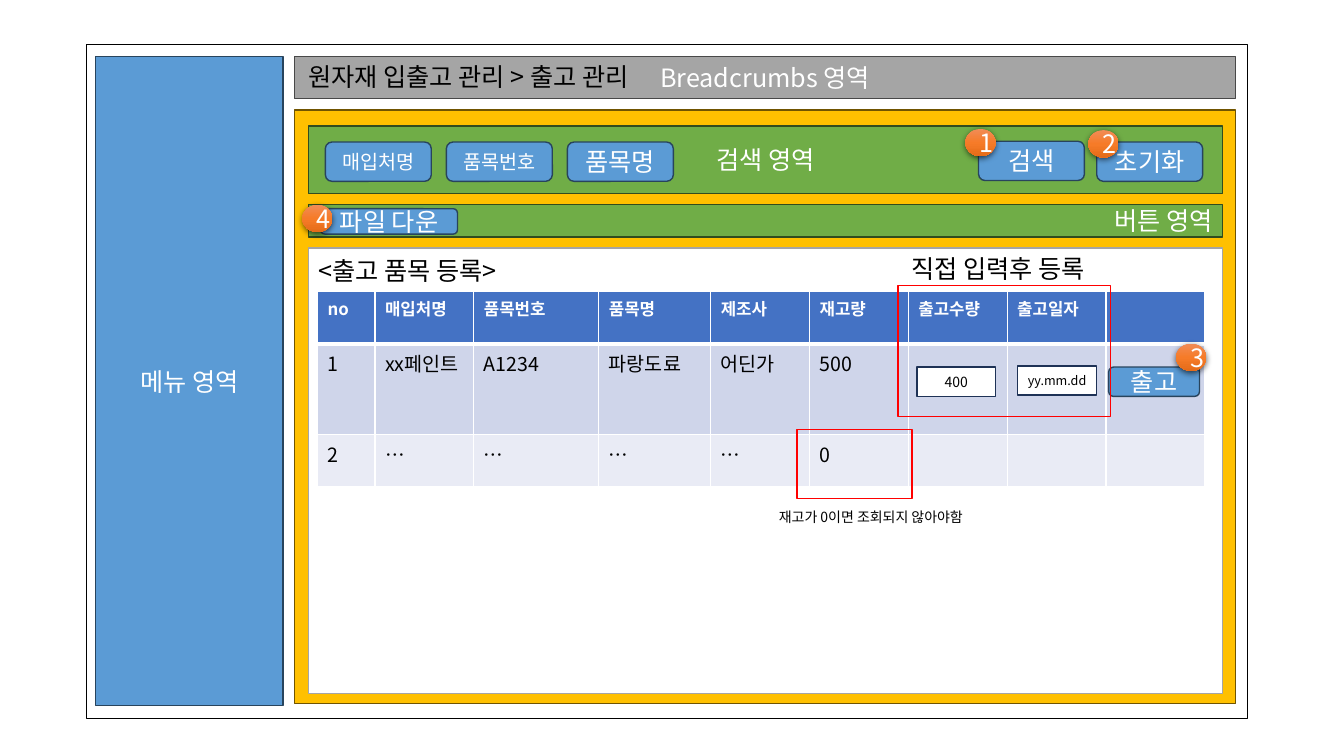
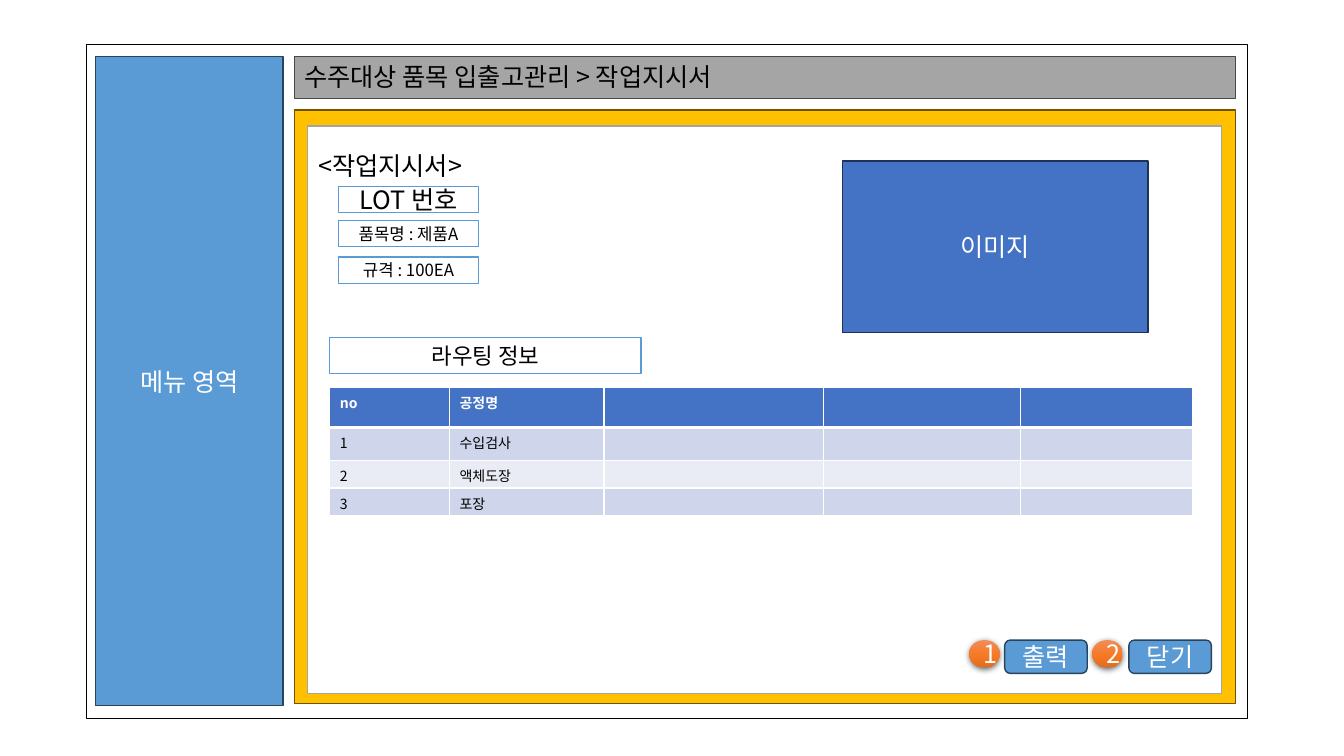
from dataclasses import dataclass
from typing import Optional

from lxml.etree import SubElement
from pptx import Presentation
from pptx.dml.color import RGBColor
from pptx.enum.shapes import MSO_SHAPE
from pptx.enum.text import MSO_ANCHOR, PP_ALIGN
from pptx.oxml.ns import qn
from pptx.slide import Slide
from pptx.util import Cm, Pt

FONT = "Noto Sans CJK KR"
HEX = {
    "white": "FFFFFF", "black": "000000", "red": "FF0000",
    "sky": "5B9BD5", "steel": "28445D", "gray": "A5A5A5", "dark": "484848",
    "gold": "FFC000", "brown": "705400", "green": "70AD47", "moss": "314C1F",
    "blue": "4472C4", "navy": "1E3256", "odd": "CFD5EA", "even": "E9EBF5",
    "peach": "F18C57", "orange": "F67B28", "rust": "E56C19",
}


@dataclass(frozen=True)
class Style:
    fill: Optional[str]
    line: str
    ink: str = "white"
    form: MSO_SHAPE = MSO_SHAPE.RECTANGLE
    align: PP_ALIGN = PP_ALIGN.CENTER


FRAME = Style("white", "black")
MENU = Style("sky", "steel")
CRUMB = Style("gray", "dark")
BODY = Style("gold", "brown")
BAND = Style("green", "moss")
TOOLS = Style("green", "moss", align=PP_ALIGN.RIGHT)
PANEL = Style("white", "gray", "black")
BUTTON = Style("sky", "steel", form=MSO_SHAPE.ROUNDED_RECTANGLE)
INPUT = Style("white", "navy", "black")
FIELD = Style("white", "sky", "black")
PHOTO = Style("blue", "navy")
MARK = Style(None, "red")


@dataclass(frozen=True)
class Box:
    x: float
    y: float
    w: float
    h: float
    style: Style
    text: str = ""
    size: float = 18


@dataclass(frozen=True)
class Label:
    x: float
    y: float
    w: float
    h: float
    text: str
    size: float = 18


@dataclass(frozen=True)
class Badge:
    x: float
    y: float
    text: str


@dataclass(frozen=True)
class Grid:
    x: float
    y: float
    cols: list[float]
    rows: list[float]
    cells: list[list[str]]
    head: float
    size: float


def color(name: str) -> RGBColor:
    return RGBColor.from_string(HEX[name])


def write(frame, text: str, size: float, ink: str,
          align: PP_ALIGN = PP_ALIGN.LEFT, bold: bool = False) -> None:
    para = frame.paragraphs[0]
    para.alignment = align
    font = para.font
    font.name, font.size, font.bold = FONT, Pt(size), bold
    font.color.rgb = color(ink)
    props = para._p.get_or_add_pPr().find(qn("a:defRPr"))
    SubElement(props, qn("a:ea"), typeface=FONT)
    if text:
        para.add_run().text = text
    else:
        SubElement(para._p, qn("a:endParaRPr"), sz=str(int(size * 100)))


def draw_box(slide: Slide, box: Box) -> None:
    style = box.style
    shape = slide.shapes.add_shape(
        style.form, Cm(box.x), Cm(box.y), Cm(box.w), Cm(box.h))
    shape.shadow.inherit = False
    if style.fill:
        shape.fill.solid()
        shape.fill.fore_color.rgb = color(style.fill)
    else:
        shape.fill.background()
    shape.line.color.rgb = color(style.line)
    shape.line.width = Pt(1)
    if box.text:
        shape.text_frame.vertical_anchor = MSO_ANCHOR.MIDDLE
        write(shape.text_frame, box.text, box.size, style.ink, style.align)


def draw_label(slide: Slide, label: Label) -> None:
    shape = slide.shapes.add_textbox(
        Cm(label.x), Cm(label.y), Cm(label.w), Cm(label.h))
    shape.text_frame.word_wrap = True
    write(shape.text_frame, label.text, label.size, "black")


def add_tint(node, name: str):
    return SubElement(node, qn("a:srgbClr"), val=HEX[name])


def draw_badge(slide: Slide, badge: Badge) -> None:
    shape = slide.shapes.add_shape(
        MSO_SHAPE.OVAL, Cm(badge.x), Cm(badge.y), Cm(0.76), Cm(0.69))
    shape.line.fill.background()
    shape.shadow.inherit = False
    props = shape._element.spPr
    grad = SubElement(props, qn("a:gradFill"), rotWithShape="1")
    stops = SubElement(grad, qn("a:gsLst"))
    for place, name in ((0, "peach"), (50, "orange"), (100, "rust")):
        stop = SubElement(stops, qn("a:gs"), pos=str(place * 1000))
        add_tint(stop, name)
    SubElement(grad, qn("a:lin"), ang="5400000", scaled="0")
    props.find(qn("a:prstGeom")).addnext(grad)
    shade = SubElement(
        props.find(qn("a:effectLst")), qn("a:outerShdw"),
        blurRad=str(Pt(4.5)), dist=str(Pt(1.5)), dir="5400000",
        algn="ctr", rotWithShape="0")
    SubElement(add_tint(shade, "black"), qn("a:alpha"), val="63000")
    write(shape.text_frame, badge.text, 18, "white", PP_ALIGN.CENTER)


def add_rules(cell, top: float, base: float) -> None:
    props = cell._tc.get_or_add_tcPr()
    for side, width in (("L", 1), ("R", 1), ("T", top), ("B", base)):
        rule = SubElement(props, qn(f"a:ln{side}"), w=str(Pt(width)))
        add_tint(SubElement(rule, qn("a:solidFill")), "white")


def draw_grid(slide: Slide, grid: Grid) -> None:
    table = slide.shapes.add_table(
        len(grid.rows), len(grid.cols), Cm(grid.x), Cm(grid.y),
        Cm(sum(grid.cols)), Cm(sum(grid.rows))).table
    for col, width in zip(table.columns, grid.cols):
        col.width = Cm(width)
    for i, (row, height) in enumerate(zip(table.rows, grid.rows)):
        row.height = Cm(height)
        head = i == 0
        fill = "blue" if head else "odd" if i % 2 else "even"
        for j, cell in enumerate(row.cells):
            text = grid.cells[i][j] if j < len(grid.cells[i]) else ""
            add_rules(cell, 3 if i == 1 else 1, 3 if head else 1)
            cell.fill.solid()
            cell.fill.fore_color.rgb = color(fill)
            cell.margin_bottom = 0
            write(cell.text_frame, text, grid.head if head else grid.size,
                  "white" if head else "black", bold=head)


DRAW = {Box: draw_box, Label: draw_label, Badge: draw_badge, Grid: draw_grid}


def add_page(deck, items: list, crumb: Label, note: str = "") -> None:
    slide = deck.slides.add_slide(deck.slide_layouts[6])
    base = [
        Box(2.18, 1.12, 29.26, 16.99, FRAME),
        Box(2.41, 1.42, 4.72, 16.36, MENU, "메뉴 영역"),
        Box(7.42, 1.42, 23.72, 1.07, CRUMB, note),
        Box(7.42, 2.77, 23.72, 14.96, BODY),
        crumb,
    ]
    for item in base + items:
        DRAW[type(item)](slide, item)


def stock_items() -> list:
    chips = (("매입처명", 14), ("품목번호", 14), ("품목명", 18))
    return [
        Box(7.77, 3.18, 23.04, 1.7, BAND, "검색 영역"),
        Box(7.77, 6.25, 23.04, 11.23, PANEL),
        Box(7.77, 5.16, 23.04, 0.81, TOOLS, "버튼 영역"),
        *(Box(8.2 + 3.05 * i, 3.58, 2.67, 0.99, BUTTON, text, size)
          for i, (text, size) in enumerate(chips)),
        Box(27.64, 3.58, 2.67, 0.99, BUTTON, "초기화"),
        Box(24.66, 3.56, 2.67, 0.99, BUTTON, "검색"),
        Badge(24.33, 3.25, "1"),
        Badge(27.43, 3.28, "2"),
        Grid(8, 7.34, [1.45, 2.49, 3.15, 2.82] + [2.49] * 5,
             [1.32, 2.29, 1.32],
             [["no", "매입처명", "품목번호", "품목명", "제조사", "재고량",
               "출고수량", "출고일자"],
              ["1", "xx페인트", "A1234", "파랑도료", "어딘가", "500"],
              ["2", "…", "…", "…", "…", "0"]], 12, 14),
        Label(7.77, 6.3, 6.32, 1.02, "<출고 품목 등록>"),
        Box(27.94, 9.25, 2.29, 0.74, BUTTON, "출고"),
        Badge(29.64, 8.66, "3"),
        Box(8.08, 5.26, 3.45, 0.64, BUTTON, "파일 다운"),
        Badge(7.62, 5.16, "4"),
        Box(22.63, 7.19, 5.36, 3.3, MARK),
        Label(22.71, 6.27, 5.59, 1.02, "직접 입력후 등록"),
        Box(23.11, 9.25, 1.98, 0.74, INPUT, "400", 10),
        Box(25.65, 9.22, 1.98, 0.74, INPUT, "yy.mm.dd", 9),
        Box(20.09, 10.82, 2.9, 1.75, MARK),
        Label(19.38, 12.7, 5.99, 0.69, "재고가 0이면 조회되지 않아야함", 10),
    ]


def order_items() -> list:
    fields = ((4.7, "LOT 번호", 18), (5.56, "품목명 : 제품A", 12),
              (6.48, "규격 : 100EA", 12))
    return [
        Box(7.75, 3.18, 23.04, 14.3, PANEL),
        Label(7.77, 3.66, 5.92, 1.02, "<작업지시서>"),
        Box(21.23, 4.06, 7.7, 4.32, PHOTO, "이미지"),
        *(Box(8.53, y, 3.53, 0.66, FIELD, text, size)
          for y, text, size in fields),
        Grid(8.31, 9.75, [3.02, 3.89, 5.54, 4.95, 4.34],
             [1.02, 0.84, 0.69, 0.69],
             [["no", "공정명"], ["1", "수입검사"], ["2", "액체도장"],
              ["3", "포장"]], 10, 10),
        Box(8.31, 8.51, 7.85, 0.91, FIELD, "라우팅 정보", 16),
        Badge(24.43, 16.13, "1"),
        Box(25.32, 16.13, 2.08, 0.84, BUTTON, "출력"),
        Badge(27.53, 16.13, "2"),
        Box(28.45, 16.13, 2.08, 0.84, BUTTON, "닫기"),
    ]


def main() -> None:
    deck = Presentation()
    deck.slide_width, deck.slide_height = Cm(33.87), Cm(19.05)
    add_page(deck, stock_items(),
             Label(7.52, 1.42, 10.67, 1.07, "원자재 입출고 관리 > 출고 관리"),
             "Breadcrumbs 영역")
    add_page(deck, order_items(),
             Label(7.42, 1.42, 13.36, 1.07,
                   "수주대상 품목 입출고관리 > 작업지시서"))
    deck.save("out.pptx")


if __name__ == "__main__":
    main()
